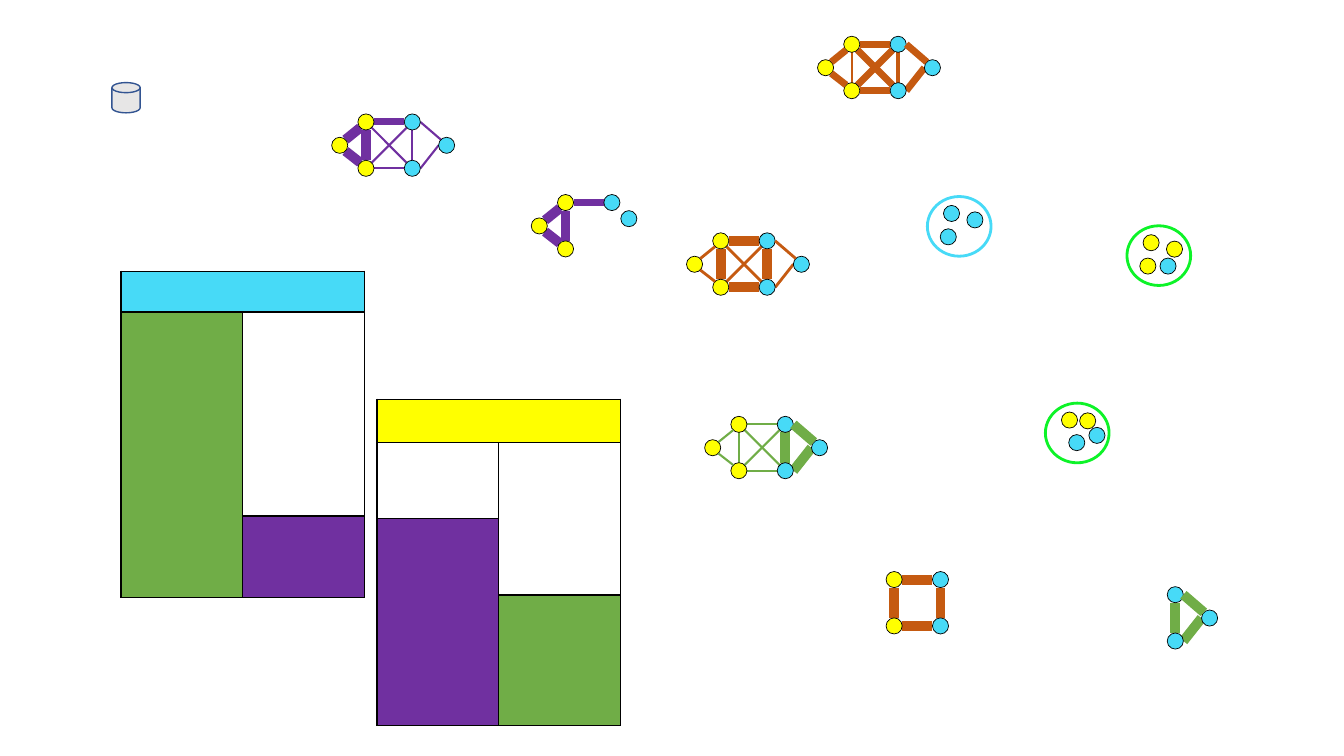
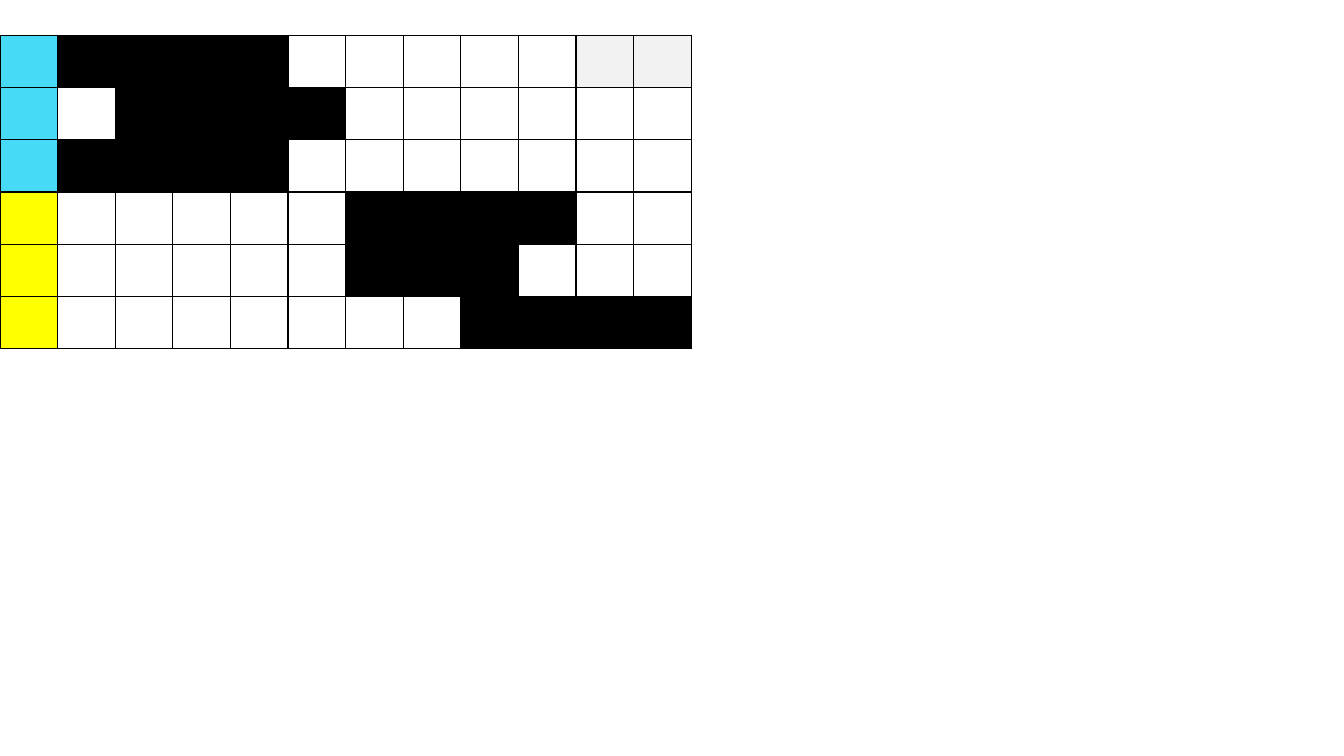
from lxml import etree
from pptx import Presentation
from pptx.dml.color import RGBColor
from pptx.enum.shapes import MSO_CONNECTOR, MSO_SHAPE
from pptx.oxml import parse_xml
from pptx.oxml.ns import nsdecls, qn
from pptx.util import Inches, Pt

OVAL = MSO_SHAPE.OVAL
CYLINDER = MSO_SHAPE.FLOWCHART_MAGNETIC_DISK
STRAIGHT = MSO_CONNECTOR.STRAIGHT

BLACK = RGBColor(0x00, 0x00, 0x00)
WHITE = RGBColor(0xFF, 0xFF, 0xFF)
CYAN = RGBColor(0x47, 0xDA, 0xF7)
YELLOW = RGBColor(0xFF, 0xFF, 0x00)
PURPLE = RGBColor(0x70, 0x30, 0xA0)
GREEN = RGBColor(0x70, 0xAD, 0x47)
ORANGE = RGBColor(0xC5, 0x5A, 0x11)
LIME = RGBColor(0x0D, 0xF3, 0x28)
PALE_GRAY = RGBColor(0xF2, 0xF2, 0xF2)
DISK_GRAY = RGBColor(0xE7, 0xE6, 0xE6)
DISK_BLUE = RGBColor(0x32, 0x54, 0x91)

CELL_COLORS = {
    "C": CYAN, "Y": YELLOW, "P": PURPLE, "G": GREEN,
    "K": BLACK, "W": WHITE, "L": PALE_GRAY,
}

SLIDE_WIDTH = Inches(13.33)
SLIDE_HEIGHT = Inches(7.5)
COLUMN = SLIDE_WIDTH / 100
ROW = SLIDE_HEIGHT / 100
RADIUS = Inches(0.08)
DIAGONAL = 0.71

NODES = {
    "A": (1, 3.9, YELLOW),
    "B": (4.25, 1, YELLOW),
    "C": (4.25, 6.75, YELLOW),
    "D": (10, 1, CYAN),
    "E": (10, 6.75, CYAN),
    "F": (14.25, 3.9, CYAN),
}
SIDES = {
    "top": (0, -1), "bottom": (0, 1), "left": (-1, 0), "right": (1, 0),
    "top left": (-DIAGONAL, -DIAGONAL), "top right": (DIAGONAL, -DIAGONAL),
    "bottom left": (-DIAGONAL, DIAGONAL), "bottom right": (DIAGONAL, DIAGONAL),
}
EDGES = {
    "EF": ("right", "left"),
    "BC": ("bottom", "top"),
    "CE": ("right", "left"),
    "BE": ("bottom right", "top left"),
    "CD": ("top right", "bottom left"),
    "BD": ("right", "left"),
    "DE": ("bottom", "top"),
    "DF": ("right", "top left"),
    "AC": ("bottom right", "top left"),
    "AB": ("top right", "bottom left"),
}
RAISED_EDGES = ("DF", "AC", "AB")


def grid_box(left, top, width, height):
    return tuple(round(length) for length in
                 (left * COLUMN, top * ROW, width * COLUMN, height * ROW))


def grid_point(column, row):
    return column * COLUMN, row * ROW


def draw_shape(slide, kind, box, fill, line, line_width):
    shape = slide.shapes.add_shape(kind, *(round(length) for length in box))
    shape.shadow.inherit = False
    shape.fill.solid()
    shape.fill.fore_color.rgb = fill
    shape.line.color.rgb = line
    shape.line.width = Pt(line_width)


def draw_dot(slide, origin, across, down, color):
    left = origin[0] + (across - 1) * RADIUS
    top = origin[1] + (down - 1) * RADIUS
    draw_shape(slide, OVAL, (left, top, 2 * RADIUS, 2 * RADIUS), color, BLACK, 0.5)


def edge_end(origin, node, side):
    across, down, _ = NODES[node]
    shift_across, shift_down = SIDES[side]
    return (round(origin[0] + (across + shift_across) * RADIUS),
            round(origin[1] + (down + shift_down) * RADIUS))


def draw_edge(slide, origin, edge, color, width):
    start_side, end_side = EDGES[edge]
    start = edge_end(origin, edge[0], start_side)
    end = edge_end(origin, edge[1], end_side)
    connector = slide.shapes.add_connector(STRAIGHT, *start, *end)
    connector.line.color.rgb = color
    connector.line.width = Pt(width)
    etree.SubElement(connector._element.spPr, qn("a:effectLst"))


def draw_graph(slide, origin, color, widths, nodes="BCEDFA"):
    raised = () if color == PURPLE else RAISED_EDGES
    present = [edge for edge in EDGES if edge in widths]
    for edge in present:
        if edge not in raised:
            draw_edge(slide, origin, edge, color, widths[edge])
    for node in nodes:
        draw_dot(slide, origin, *NODES[node])
    for edge in present:
        if edge in raised:
            draw_edge(slide, origin, edge, color, widths[edge])


def full_widths(normal, **special):
    return {**dict.fromkeys(EDGES, normal), **special}


def draw_cluster(slide, origin, outline, dots):
    draw_shape(slide, OVAL, (*origin, 7.9 * RADIUS, 7.4 * RADIUS), WHITE, outline, 2)
    for across, down, color in dots:
        draw_dot(slide, origin, across, down, color)


def style_cell(cell, color):
    cell.margin_left = cell.margin_right = cell.margin_top = cell.margin_bottom = 0
    properties = cell._tc.get_or_add_tcPr()
    for side in ("lnL", "lnR", "lnT", "lnB"):
        properties.append(parse_xml(
            f'<a:{side} {nsdecls("a")} w="{Pt(1)}"><a:solidFill>'
            f'<a:srgbClr val="{BLACK}"/></a:solidFill></a:{side}>'))
    cell.fill.solid()
    cell.fill.fore_color.rgb = color


def draw_table(slide, box, row_weights, pattern, merges=()):
    frame = slide.shapes.add_table(len(pattern), len(pattern[0]), *box)
    table = frame.table
    table.first_row = False
    table.horz_banding = False
    for row, weight in zip(table.rows, row_weights):
        row.height = round(box[3] * weight / sum(row_weights))
    for row_index, letters in enumerate(pattern):
        for column_index, letter in enumerate(letters):
            style_cell(table.cell(row_index, column_index), CELL_COLORS[letter])
    for first, last in merges:
        table.cell(*first).merge(table.cell(*last))


def build_graph_slide(slide):
    draw_graph(slide, grid_point(24.68, 15.07), PURPLE,
               full_widths(1.5, BC=7, AC=7, AB=7, BD=5))
    draw_graph(slide, grid_point(52.43, 55.07), GREEN,
               full_widths(1.5, EF=7, DE=7, DF=7))
    draw_graph(slide, grid_point(60.83, 4.8), ORANGE,
               full_widths(5, BC=1.5, DE=2.75))
    draw_graph(slide, grid_point(51.08, 30.8), ORANGE,
               full_widths(2, BC=7, CE=7, BD=7, DE=7))

    purple_part = grid_point(39.53, 25.73)
    draw_graph(slide, purple_part, PURPLE,
               {"BC": 7, "AC": 7, "AB": 7, "BD": 5}, "BCDA")
    draw_dot(slide, purple_part, 12.1, 3, CYAN)
    draw_graph(slide, grid_point(63.98, 75.6), ORANGE,
               dict.fromkeys(("BC", "CE", "BD", "DE"), 7), "BCED")
    draw_graph(slide, grid_point(81.45, 77.6), GREEN,
               dict.fromkeys(("EF", "DE", "DF"), 7), "EDF")

    draw_cluster(slide, grid_point(69, 26), CYAN,
                 [(3, 2.1, CYAN), (5.9, 2.9, CYAN), (2.6, 5, CYAN)])
    draw_cluster(slide, grid_point(83.85, 29.87), LIME,
                 [(3, 2.1, YELLOW), (5.9, 2.9, YELLOW),
                  (2.6, 5, YELLOW), (5.1, 5, CYAN)])
    draw_cluster(slide, grid_point(77.78, 53.33), LIME,
                 [(3, 2.1, YELLOW), (5.25, 2.2, YELLOW),
                  (6.4, 4, CYAN), (3.9, 4.9, CYAN)])

    draw_shape(slide, CYLINDER, grid_box(8.33, 10.93, 2.1, 4),
               DISK_GRAY, DISK_BLUE, 1)
    draw_table(slide, grid_box(9, 35.87, 18.1, 43.2), (1, 5, 2),
               ("CC", "GW", "GP"),
               [((0, 0), (0, 1)), ((1, 0), (2, 0))])
    draw_table(slide, grid_box(28.05, 52.8, 18.1, 43.2), (4, 7, 7, 12),
               ("YY", "WW", "PW", "PG"),
               [((0, 0), (0, 1)), ((1, 1), (2, 1)), ((2, 0), (3, 0))])


def build_matrix_slide(slide):
    draw_table(slide, grid_box(0, 4.67, 51.45, 41.47), (1,) * 6,
               ("CKKKKWWWWWLL",
                "CWKKKKWWWWWW",
                "CKKKKWWWWWWW",
                "YWWWWWKKKKWW",
                "YWWWWWKKKWWW",
                "YWWWWWWWKKKK"))


def main():
    presentation = Presentation()
    presentation.slide_width = SLIDE_WIDTH
    presentation.slide_height = SLIDE_HEIGHT
    blank_layout = presentation.slide_layouts[6]
    for build in (build_graph_slide, build_matrix_slide):
        build(presentation.slides.add_slide(blank_layout))
    presentation.save("out.pptx")


if __name__ == "__main__":
    main()
